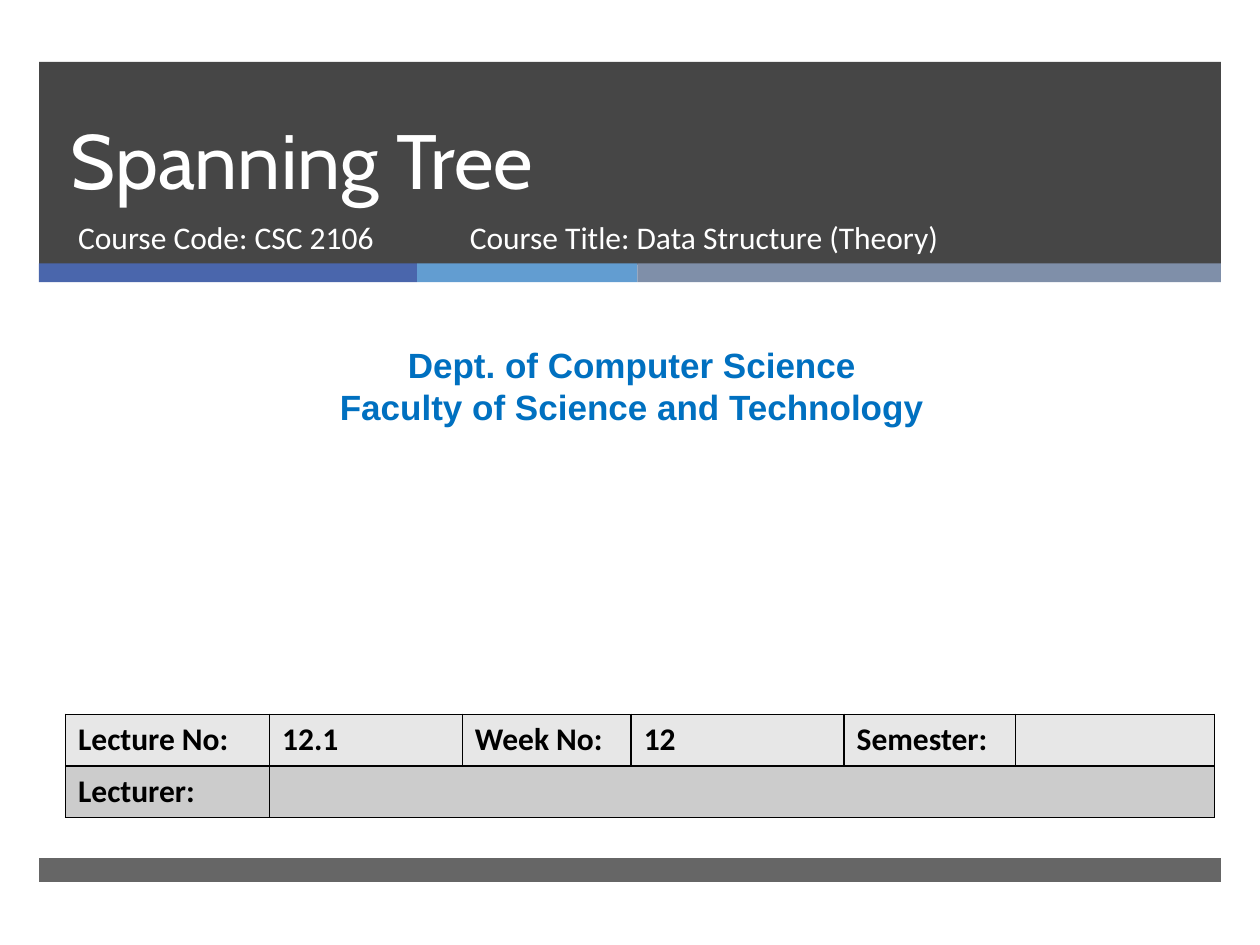
from dataclasses import dataclass

from lxml import etree
from pptx import Presentation
from pptx.dml.color import RGBColor
from pptx.enum.shapes import MSO_SHAPE
from pptx.enum.text import MSO_ANCHOR, MSO_AUTO_SIZE, PP_ALIGN
from pptx.oxml.ns import qn
from pptx.shapes.base import BaseShape
from pptx.slide import Slide
from pptx.table import _Cell
from pptx.text.text import TextFrame
from pptx.util import Emu, Pt

RECTANGLE = MSO_SHAPE.RECTANGLE
TOP, BOTTOM = MSO_ANCHOR.TOP, MSO_ANCHOR.BOTTOM
LEFT, CENTER = PP_ALIGN.LEFT, PP_ALIGN.CENTER
NO_FIT, GROW = MSO_AUTO_SIZE.NONE, MSO_AUTO_SIZE.SHAPE_TO_FIT_TEXT

EMU_PER_PX = 9144
CHARCOAL = RGBColor(0x26, 0x26, 0x26)
INDIGO = RGBColor(0x4A, 0x66, 0xAC)
SKY = RGBColor(0x62, 0x9D, 0xD1)
SLATE = RGBColor(0x7F, 0x8F, 0xA9)
BLUE = RGBColor(0x00, 0x70, 0xC0)
WHITE = RGBColor(0xFF, 0xFF, 0xFF)
BLACK = RGBColor(0x00, 0x00, 0x00)
LIGHT_GRAY = RGBColor(0xE7, 0xE7, 0xE7)
MID_GRAY = RGBColor(0xCC, 0xCC, 0xCC)


@dataclass(frozen=True)
class Box:
    left: int
    top: int
    width: int
    height: int

    def emu(self) -> tuple[Emu, Emu, Emu, Emu]:
        """Return the box lengths in EMU."""
        return px(self.left), px(self.top), px(self.width), px(self.height)


@dataclass(frozen=True)
class Bar:
    box: Box
    color: RGBColor
    opacity: int = 100


@dataclass(frozen=True)
class TextStyle:
    font: str
    size: int
    color: RGBColor
    bold: bool = False
    alignment: PP_ALIGN = LEFT


TITLE_STYLE = TextStyle("Cabin", 44, WHITE)
COURSE_STYLE = TextStyle("Calibri", 18, WHITE)
DEPARTMENT_STYLE = TextStyle("Arial", 20, BLUE, True, CENTER)
CELL_STYLE = TextStyle("Calibri", 18, BLACK, True)

BARS = [
    Bar(Box(31, 49, 938, 161), CHARCOAL, 85),
    Bar(Box(31, 209, 300, 15), INDIGO),
    Bar(Box(331, 209, 175, 15), SKY),
    Bar(Box(506, 209, 463, 15), SLATE),
    Bar(Box(31, 681, 938, 19), CHARCOAL, 70),
]
TABLE_BOX = Box(52, 567, 912, 82)
COLUMN_WIDTHS = [162, 153, 134, 169, 136, 158]
TABLE_ROWS = [
    (["Lecture No:", "12.1", "Week No:", "12", "Semester:", ""], LIGHT_GRAY),
    (["Lecturer:", "", "", "", "", ""], MID_GRAY),
]


def px(length: int) -> Emu:
    """Convert pixels to EMU."""
    return Emu(length * EMU_PER_PX)


def write_text(frame: TextFrame, text: str, style: TextStyle) -> None:
    """Set the text of a frame and format its paragraphs."""
    frame.text = text
    for paragraph in frame.paragraphs:
        paragraph.alignment = style.alignment
        paragraph.space_before = Pt(0)
        paragraph.font.size = Pt(style.size)
        for run in paragraph.runs:
            run.font.name = style.font
            run.font.size = Pt(style.size)
            run.font.bold = style.bold
            run.font.color.rgb = style.color


def draw_bar(slide: Slide, bar: Bar) -> None:
    """Draw a borderless bar, translucent where its opacity is below 100."""
    shape = slide.shapes.add_shape(RECTANGLE, *bar.box.emu())
    shape.shadow.inherit = False
    shape.line.fill.background()
    shape.fill.solid()
    shape.fill.fore_color.rgb = bar.color
    if bar.opacity < 100:
        color = shape.fill._xPr.find(f".//{qn('a:srgbClr')}")
        etree.SubElement(color, qn("a:alpha"), val=str(bar.opacity * 1000))


def fill_text_shape(shape: BaseShape, box: Box, text: str, style: TextStyle,
                    anchor: MSO_ANCHOR = TOP, fit: MSO_AUTO_SIZE = NO_FIT) -> None:
    """Place a text shape and write its text."""
    shape.left, shape.top, shape.width, shape.height = box.emu()
    frame = shape.text_frame
    frame.word_wrap = True
    frame.auto_size = fit
    frame.vertical_anchor = anchor
    write_text(frame, text, style)


def add_text(slide: Slide, box: Box, text: str, style: TextStyle,
             fit: MSO_AUTO_SIZE = NO_FIT) -> None:
    """Add a text box with its text."""
    shape = slide.shapes.add_textbox(*box.emu())
    fill_text_shape(shape, box, text, style, fit=fit)


def format_cell(cell: _Cell, text: str, color: RGBColor) -> None:
    """Write a table cell and give it a border and a fill."""
    write_text(cell.text_frame, text, CELL_STYLE)
    properties = cell._tc.get_or_add_tcPr()
    for side in ("lnL", "lnR", "lnT", "lnB"):
        border = etree.SubElement(properties, qn(f"a:{side}"), w=str(Pt(1)))
        fill = etree.SubElement(border, qn("a:solidFill"))
        etree.SubElement(fill, qn("a:srgbClr"), val=str(BLACK))
    cell.fill.solid()
    cell.fill.fore_color.rgb = color


def draw_lecture_table(slide: Slide) -> None:
    """Draw the table of lecture details."""
    shape = slide.shapes.add_table(len(TABLE_ROWS), len(COLUMN_WIDTHS), *TABLE_BOX.emu())
    table = shape.table
    for column, width in zip(table.columns, COLUMN_WIDTHS):
        column.width = px(width)
    for row, (texts, color) in zip(table.rows, TABLE_ROWS):
        for cell, text in zip(row.cells, texts):
            format_cell(cell, text, color)
    table.cell(1, 1).merge(table.cell(1, len(COLUMN_WIDTHS) - 1))


def main() -> None:
    """Build the lecture cover slide."""
    presentation = Presentation()
    presentation.slide_width, presentation.slide_height = px(1000), px(750)
    slide = presentation.slides.add_slide(presentation.slide_layouts[0])
    title, subtitle = slide.placeholders
    for bar in BARS:
        draw_bar(slide, bar)
    for placeholder in (title, subtitle):
        slide.shapes._spTree.append(placeholder._element)

    fill_text_shape(title, Box(46, 49, 854, 119), "Spanning Tree", TITLE_STYLE, BOTTOM)
    title.text_frame.paragraphs[0].line_spacing = Pt(46)
    fill_text_shape(subtitle, Box(52, 168, 305, 53), "Course Code: CSC 2106", COURSE_STYLE)
    add_text(slide, Box(8, 268, 987, 77),
             "Dept. of Computer Science\nFaculty of Science and Technology",
             DEPARTMENT_STYLE, GROW)
    draw_lecture_table(slide)
    add_text(slide, Box(363, 168, 455, 53),
             "Course Title: Data Structure (Theory)", COURSE_STYLE)
    presentation.save("out.pptx")


if __name__ == "__main__":
    main()
